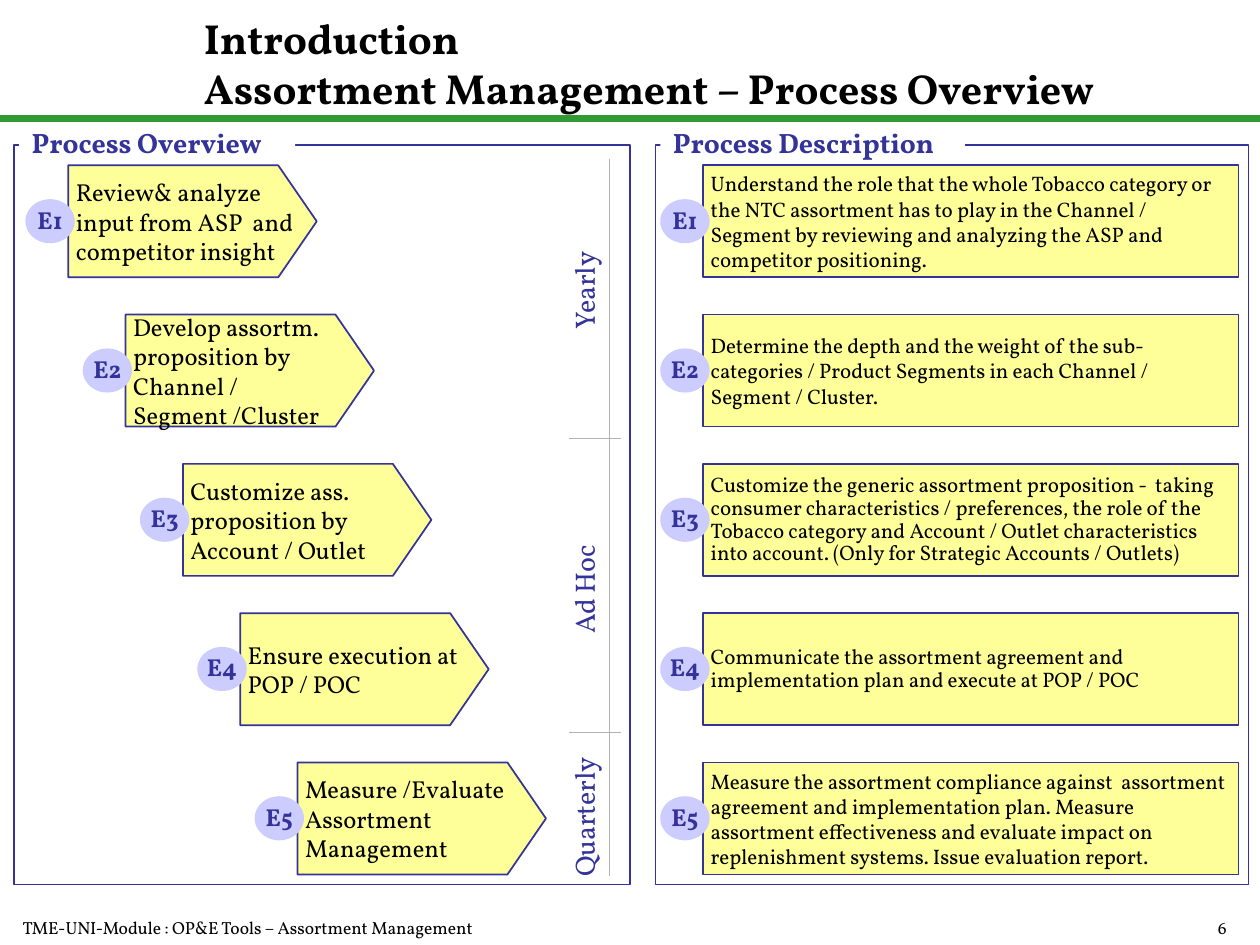
from lxml.etree import SubElement
from pptx import Presentation
from pptx.dml.color import RGBColor
from pptx.enum.shapes import MSO_CONNECTOR, MSO_SHAPE
from pptx.enum.text import MSO_ANCHOR, PP_ALIGN
from pptx.oxml.ns import qn
from pptx.util import Pt

FONT = "Vollkorn"
COLORS = {
    "black": "000000", "white": "FFFFFF", "navy": "333399", "green": "339933",
    "yellow": "FFFF99", "lilac": "CCCCFF", "gray": "B2B2B2",
}


def dress(shape, text="", size=12, color="black", fill=None, line=None, bold=False,
          align=PP_ALIGN.LEFT, anchor=MSO_ANCHOR.TOP, inset=(7.2, 3.6), spacing=None, wrap=True):
    """Set fill, outline and text of a shape or text box."""
    shape.shadow.inherit = False
    if fill:
        shape.fill.solid()
        shape.fill.fore_color.rgb = RGBColor.from_string(COLORS[fill])
    else:
        shape.fill.background()
    if line:
        shape.line.color.rgb = RGBColor.from_string(COLORS[line])
        shape.line.width = Pt(1)
    else:
        shape.line.fill.background()
    frame = shape.text_frame
    frame.word_wrap = wrap
    frame.vertical_anchor = anchor
    frame.margin_left = frame.margin_right = Pt(inset[0])
    frame.margin_top = frame.margin_bottom = Pt(inset[1])
    frame.text = text
    for para in frame.paragraphs:
        para.alignment = align
        para.line_spacing = spacing
        for span in para.runs:
            span.font.name = FONT
            span.font.size = Pt(size)
            span.font.bold = bold
            span.font.color.rgb = RGBColor.from_string(COLORS[color])


def add_rule(x1, y1, x2, y2, color, width):
    rule = page.shapes.add_connector(MSO_CONNECTOR.STRAIGHT, Pt(x1), Pt(y1), Pt(x2), Pt(y2))
    rule.line.color.rgb = RGBColor.from_string(COLORS[color])
    rule.line.width = Pt(width)
    SubElement(rule._element.spPr, qn("a:effectLst"))


deck = Presentation()
deck.slide_width, deck.slide_height = Pt(720), Pt(540)
page = deck.slides.add_slide(deck.slide_layouts[6])

# Header rule, page number, footer and title
add_rule(0, 67.7, 720, 67.7, "green", 4.5)
for left, top, width, height, text, size, bold, align in [
    (630, 520.5, 78, 21, "6", 10, False, PP_ALIGN.RIGHT),
    (5.8, 520.5, 371.5, 19.5, "TME-UNI-Module : OP&E Tools – Assortment Management",
     10, False, PP_ALIGN.LEFT),
    (109.5, 3.6, 551, 50.4, "Introduction\vAssortment Management – Process Overview",
     24, True, PP_ALIGN.LEFT),
]:
    box = page.shapes.add_textbox(Pt(left), Pt(top), Pt(width), Pt(height))
    dress(box, text, size, bold=bold, align=align)

# Panels with their headings set into the top border
for left, width, heading, heading_width in [
    (8, 352, "Process Overview", 157.7),
    (374.5, 339, "Process Description", 174),
]:
    panel = page.shapes.add_shape(MSO_SHAPE.RECTANGLE, Pt(left), Pt(83), Pt(width), Pt(422.5))
    dress(panel, fill="white", line="navy")
    label = page.shapes.add_shape(MSO_SHAPE.RECTANGLE, Pt(left + 2.9), Pt(72),
                                  Pt(heading_width), Pt(19.4))
    dress(label, heading, 16, "navy", fill="white", bold=True, inset=(7.2, 0))

# Process steps: arrow on the left, description on the right
steps = [
    ("Review& analyze input from ASP  and competitor insight",
     "Understand the role that the whole Tobacco category or the NTC assortment has to play "
     "in the Channel / Segment by reviewing and analyzing the ASP and competitor positioning.",
     None),
    ("Develop assortm.\nproposition by Channel / Segment /Cluster",
     "Determine the depth and the weight of the sub-categories / Product Segments in each "
     "Channel / Segment / Cluster.", None),
    ("Customize ass. proposition by Account / Outlet",
     "Customize the generic assortment proposition -  taking consumer characteristics / "
     "preferences, the role of the Tobacco category and Account / Outlet characteristics "
     "into account. (Only for Strategic Accounts / Outlets)", 0.9),
    ("Ensure execution at POP / POC",
     "Communicate the assortment agreement and implementation plan and execute at POP / POC",
     0.9),
    ("Measure /Evaluate Assortment Management",
     "Measure the assortment compliance against  assortment agreement and implementation "
     "plan. Measure assortment effectiveness and evaluate impact on replenishment systems. "
     "Issue evaluation report.", None),
]
step_height, arrow_width, arrow_shoulder = 64, 142, 120
description_left = 401.8
block_style = dict(fill="yellow", line="navy", anchor=MSO_ANCHOR.MIDDLE, inset=(4.3, 3.6))

for index, (action, description, spacing) in enumerate(steps):
    top = 94.5 + 85.3 * index
    arrow_left = 39 + 32.75 * index

    outline = page.shapes.build_freeform(Pt(arrow_left), Pt(top))
    outline.add_line_segments([
        (Pt(arrow_left + x), Pt(top + y)) for x, y in [
            (arrow_shoulder, 0), (arrow_width, step_height / 2),
            (arrow_shoulder, step_height), (0, step_height)]
    ], close=True)
    dress(outline.convert_to_shape(), action, 14, **block_style)

    block = page.shapes.add_shape(MSO_SHAPE.RECTANGLE, Pt(description_left), Pt(top),
                                  Pt(306), Pt(step_height))
    dress(block, description, 12, spacing=spacing, **block_style)

    for left in (arrow_left, description_left):
        badge = page.shapes.add_shape(MSO_SHAPE.OVAL, Pt(left - 24.5), Pt(top + 19.3),
                                      Pt(28.2), Pt(25.2))
        dress(badge, f"E{index + 1}", 14, "navy", fill="lilac", bold=True,
              align=PP_ALIGN.CENTER, anchor=MSO_ANCHOR.MIDDLE, inset=(0, 0),
              spacing=0.9, wrap=False)

# Frequency scale
for top, frequency in [(457.2, "Quarterly"), (326.9, "Ad Hoc"), (156.2, "Yearly")]:
    box = page.shapes.add_textbox(Pt(298.8), Pt(top), Pt(74.2), Pt(19.4))
    box.rotation = 270
    dress(box, frequency, 16, "navy", align=PP_ALIGN.CENTER, inset=(0, 0), spacing=0.9)
add_rule(348.5, 90.7, 348.5, 500.4, "gray", 0.5)
for y in (418.3, 250.6):
    add_rule(325.4, y, 355, y, "gray", 0.5)

deck.save("out.pptx")
